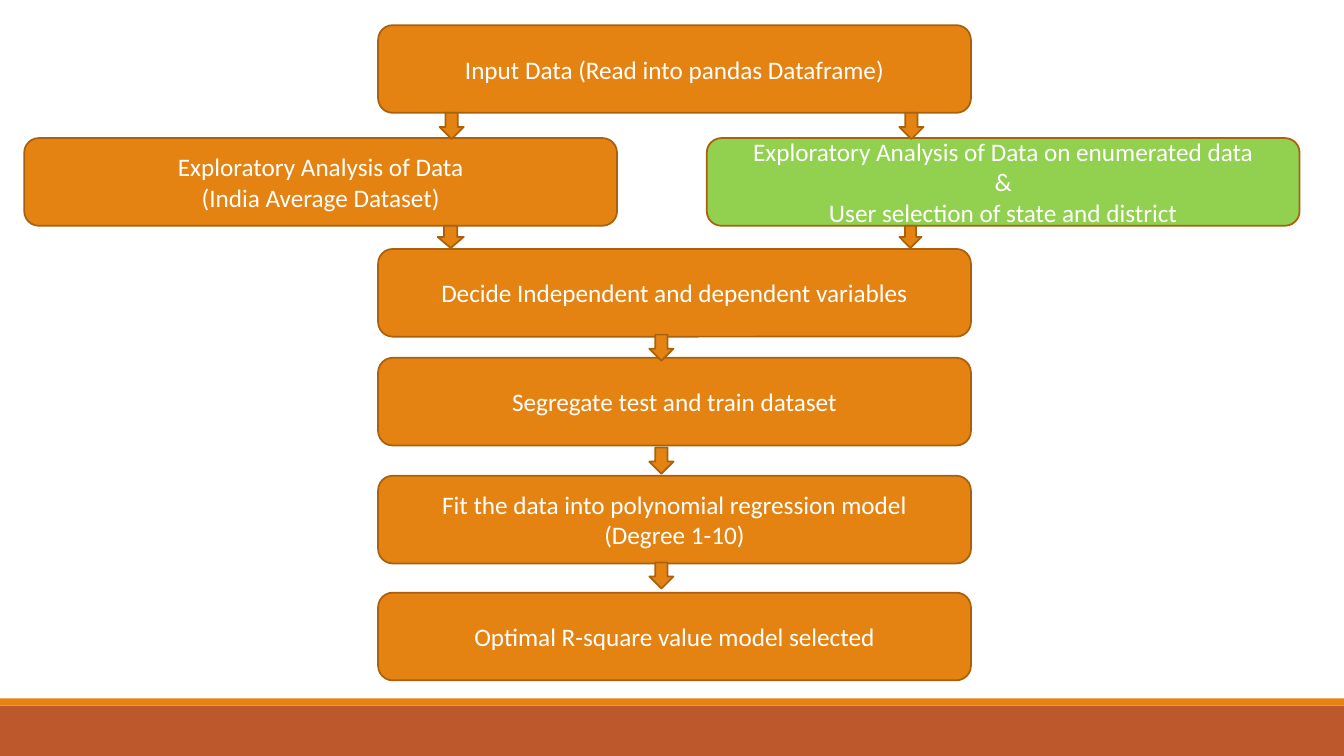
from dataclasses import dataclass

from pptx import Presentation
from pptx import util as u
from pptx.dml.color import RGBColor
from pptx.enum import shapes, text


@dataclass(frozen=True)
class Theme:
    """Colours, type and line sizes of the flow chart."""
    step: str = "E48312"
    user: str = "92D050"
    edge: str = "A9610D"
    base: str = "BD582C"
    ink: str = "FFFFFF"
    font: str = "Calibri"
    size: float = 18
    line: float = 1.25


THEME = Theme()
KIND = shapes.MSO_SHAPE
WIDE, HIGH = 13.33, 7.5
COLS = {"left": 0.24, "mid": 3.75, "right": 7.01}
ROWS = (0.25, 1.37, 2.47, 3.55, 4.72, 5.88)
BOX_W, BOX_H = 5.88, 0.87
HEAD_W, HEAD_H = 0.24, 0.26

STEPS = (
    ("mid", 0, THEME.step, "Input Data (Read into pandas Dataframe)"),
    ("left", 1, THEME.step,
     "Exploratory Analysis of Data\n(India Average Dataset)"),
    ("right", 1, THEME.user,
     "Exploratory Analysis of Data on enumerated data\n&\n"
     "User selection of state and district"),
    ("mid", 2, THEME.step, "Decide Independent and dependent variables"),
    ("mid", 3, THEME.step, "Segregate test and train dataset"),
    ("mid", 4, THEME.step,
     "Fit the data into polynomial regression model\n(Degree 1-10)"),
    ("mid", 5, THEME.step, "Optimal R-square value model selected"),
)
ARROWS = (
    (4.36, 1.12, HEAD_W, HEAD_H),
    (8.92, 1.12, HEAD_W, HEAD_H),
    (4.34, 2.24, 0.26, 0.22),
    (8.92, 2.24, 0.22, 0.22),
    (6.44, 3.32, HEAD_W, HEAD_H),
    (6.44, 4.44, HEAD_W, HEAD_H),
    (6.44, 5.58, HEAD_W, HEAD_H),
)


def add_form(slide, kind, area, fill, edge=None):
    """Add a flat filled shape, outlined when an edge colour is given."""
    form = slide.shapes.add_shape(kind, *map(u.Inches, area))
    form.shadow.inherit = False
    form.fill.solid()
    form.fill.fore_color.rgb = RGBColor.from_string(fill)
    if edge:
        form.line.color.rgb = RGBColor.from_string(edge)
        form.line.width = u.Pt(THEME.line)
    else:
        form.line.fill.background()
    return form


def add_step(slide, col, row, fill, words):
    """Add one rounded step box with centred text."""
    area = (COLS[col], ROWS[row], BOX_W, BOX_H)
    box = add_form(slide, KIND.ROUNDED_RECTANGLE, area, fill, THEME.edge)
    frame = box.text_frame
    frame.word_wrap = True
    frame.vertical_anchor = text.MSO_ANCHOR.MIDDLE
    frame.text = words
    for para in frame.paragraphs:
        para.alignment = text.PP_ALIGN.CENTER
        for run in para.runs:
            run.font.name = THEME.font
            run.font.size = u.Pt(THEME.size)
            run.font.color.rgb = RGBColor.from_string(THEME.ink)


def add_foot(slide):
    """Add the two bands along the bottom of the slide."""
    add_form(slide, KIND.RECTANGLE, (0, 7, WIDE, 0.5), THEME.base)
    add_form(slide, KIND.RECTANGLE, (0, 6.93, WIDE, 0.07), THEME.step)


def main():
    """Build the flow chart slide and save it."""
    deck = Presentation()
    deck.slide_width, deck.slide_height = u.Inches(WIDE), u.Inches(HIGH)
    slide = deck.slides.add_slide(deck.slide_layouts[6])
    add_foot(slide)
    for step in STEPS:
        add_step(slide, *step)
    for area in ARROWS:
        add_form(slide, KIND.DOWN_ARROW, area, THEME.step, THEME.edge)
    deck.save("out.pptx")


if __name__ == "__main__":
    main()
